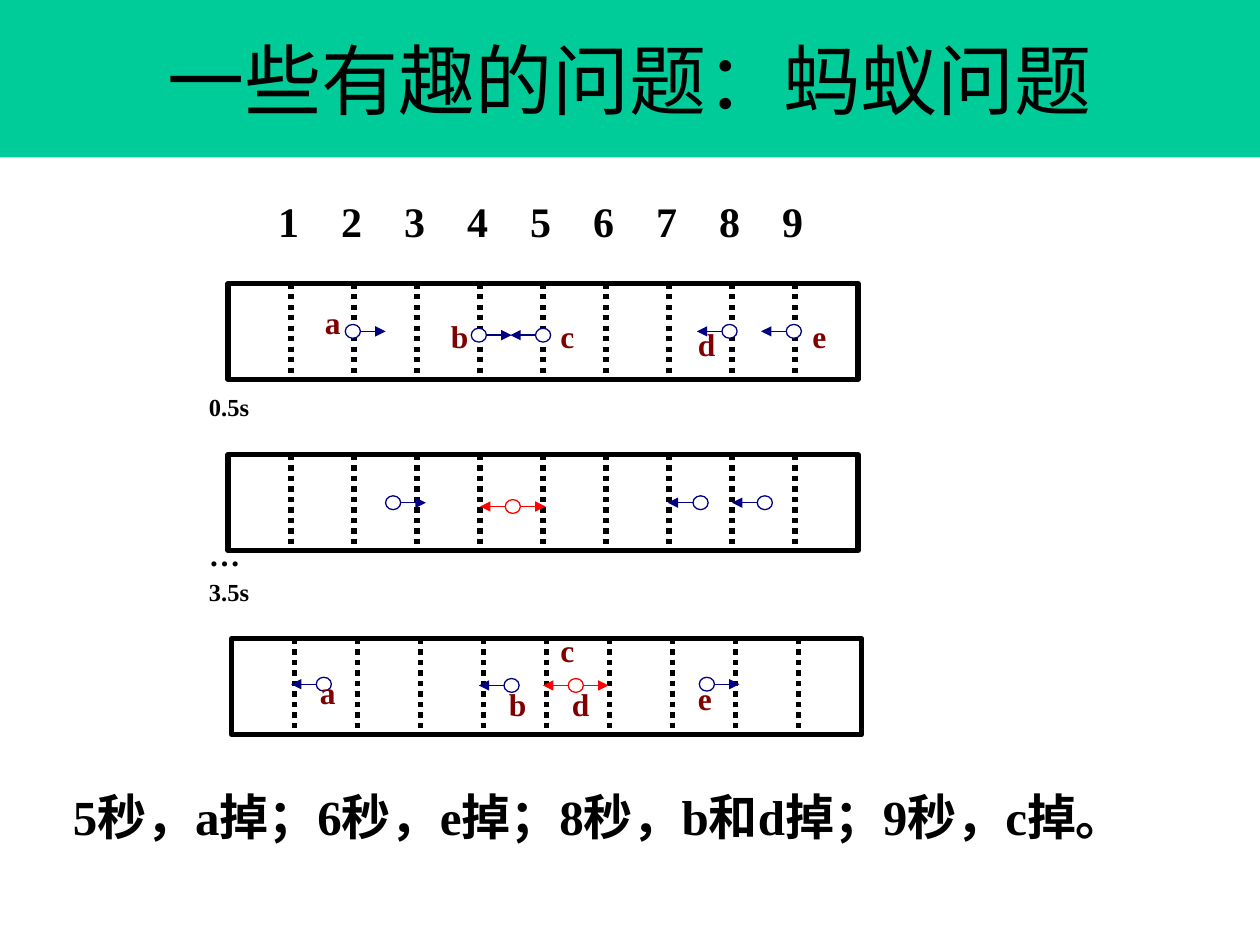
from pptx import Presentation
from pptx.dml.color import RGBColor
from pptx.enum.dml import MSO_LINE
from pptx.enum.shapes import MSO_CONNECTOR, MSO_SHAPE
from pptx.enum.text import MSO_ANCHOR, PP_ALIGN
from pptx.oxml.ns import qn
from pptx.util import Inches, Pt
from lxml import etree

LINE = MSO_CONNECTOR.STRAIGHT
RECT, OVAL = MSO_SHAPE.RECTANGLE, MSO_SHAPE.OVAL
DOT = MSO_LINE.ROUND_DOT
MIDDLE, TOP = MSO_ANCHOR.MIDDLE, MSO_ANCHOR.TOP
CENTER, LEFT, JUSTIFY = PP_ALIGN.CENTER, PP_ALIGN.LEFT, PP_ALIGN.JUSTIFY

WHITE = RGBColor(0xFF, 0xFF, 0xFF)
BLACK = RGBColor(0, 0, 0)
GREEN = RGBColor(0x00, 0xCC, 0x99)
NAVY = RGBColor(0x00, 0x00, 0x80)
RED = RGBColor(0xFF, 0, 0)
MAROON = RGBColor(0x80, 0, 0)

SERIF = "Times New Roman"
SANS = "Noto Sans CJK SC"

CELL = 0.5
CELLS = 10
ROD_W, ROD_H = CELL * CELLS, 0.76
ANT_W, ANT_H = 0.12, 0.11
REACH = 0.26

RODS = [
    {"at": (1.81, 2.25),
     "ants": [(0.99, 0.38, [1]), (1.99, 0.41, [1]), (2.5, 0.41, [-1]),
              (3.98, 0.38, [-1]), (4.49, 0.38, [-1])],
     "names": [("a", 0.67, 0.11), ("b", 1.67, 0.22), ("c", 2.54, 0.22),
               ("d", 3.63, 0.28), ("e", 4.54, 0.22)]},
    {"at": (1.81, 3.61),
     "ants": [(1.31, 0.38, [1]), (2.26, 0.41, [-1, 1]),
              (3.75, 0.38, [-1]), (4.26, 0.38, [-1])],
     "names": []},
    {"at": (1.84, 5.07),
     "ants": [(0.73, 0.36, [-1]), (3.77, 0.36, [1]),
              (2.22, 0.37, [-1]), (2.73, 0.37, [-1, 1])],
     "names": [("a", 0.6, 0.22), ("b", 2.1, 0.32), ("c", 2.51, -0.11),
               ("d", 2.6, 0.32), ("e", 3.6, 0.27)]},
]
TIMES = [("0.5s", 3.06, 14), ("…", 4.2, 18), ("3.5s", 4.53, 14)]


def add_run(p, text, size, color=BLACK, name=SERIF, bold=True):
    r = p.add_run()
    r.text = text
    for key, value in {"size": Pt(size), "bold": bold, "name": name}.items():
        setattr(r.font, key, value)
    r.font.color.rgb = color
    etree.SubElement(r.font._element, qn("a:ea"), typeface=SANS)


def add_text(s, box, text, size, color=BLACK, align=JUSTIFY, tabs=0):
    sp = s.shapes.add_textbox(*map(Inches, box))
    tf = sp.text_frame
    tf.word_wrap = True
    tf.vertical_anchor = TOP
    p = tf.paragraphs[0]
    p.alignment = align
    if tabs:
        stops = etree.SubElement(p._p.get_or_add_pPr(), qn("a:tabLst"))
        for i in range(1, tabs + 1):
            etree.SubElement(stops, qn("a:tab"), pos=str(Inches(CELL * i)), algn="l")
    add_run(p, text, size, color)


def add_outlined(s, kind, box, color, width):
    sp = s.shapes.add_shape(kind, *map(Inches, box))
    sp.shadow.inherit = False
    sp.fill.solid()
    sp.fill.fore_color.rgb = WHITE
    sp.line.color.rgb = color
    sp.line.width = Pt(width)


def add_line(s, ends, color, width, dash=None, arrow=False):
    sp = s.shapes.add_connector(LINE, *map(Inches, ends))
    sp.line.color.rgb = color
    sp.line.width = Pt(width)
    if dash:
        sp.line.dash_style = dash
    if arrow:
        etree.SubElement(sp.line._get_or_add_ln(), qn("a:tailEnd"), type="triangle")
    etree.SubElement(sp._element.spPr, qn("a:effectLst"))


def add_ant(s, x, y, directions):
    color = RED if len(directions) > 1 else NAVY
    for d in directions:
        add_line(s, (x, y, x + d * REACH, y), color, 0.75, arrow=True)
    add_outlined(s, OVAL, (x - ANT_W / 2, y - ANT_H / 2, ANT_W, ANT_H), color, 0.75)


def add_rod(s, at, ants, names):
    left, top = at
    add_outlined(s, RECT, (left, top, ROD_W, ROD_H), BLACK, 3)
    for i in range(1, CELLS):
        x = left + CELL * i
        add_line(s, (x, top, x, top + ROD_H), BLACK, 3, dash=DOT)
    for x, y, directions in ants:
        add_ant(s, left + x, top + y, directions)
    for name, x, y in names:
        add_text(s, (left + x, top + y, 0.46, 0.43), name, 18, MAROON)


def add_title(s, box, text):
    sp = s.shapes.title
    for key, value in zip(("left", "top", "width", "height"), box):
        setattr(sp, key, Inches(value))
    sp.fill.solid()
    sp.fill.fore_color.rgb = GREEN
    tf = sp.text_frame
    tf.vertical_anchor = MIDDLE
    p = tf.paragraphs[0]
    p.alignment = CENTER
    add_run(p, text, 44, name=SANS, bold=False)


def main():
    prs = Presentation()
    prs.slide_width, prs.slide_height = Inches(10), Inches(7.5)
    s = prs.slides.add_slide(prs.slide_layouts[5])
    add_title(s, (0, 0, 10, 1.25), "一些有趣的问题：蚂蚁问题")
    add_text(s, (2.11, 1.5, 6.67, 0.43), "\t".join("123456789"), 24,
             align=LEFT, tabs=8)
    for rod in RODS:
        add_rod(s, **rod)
    for label, top, size in TIMES:
        add_text(s, (1.56, top, 0.88, 0.43), label, size)
    add_text(s, (0.48, 6.19, 9.17, 0.57),
             "5秒，a掉；6秒，e掉；8秒，b和d掉；9秒，c掉。", 28, align=LEFT)
    prs.save("out.pptx")


if __name__ == "__main__":
    main()
